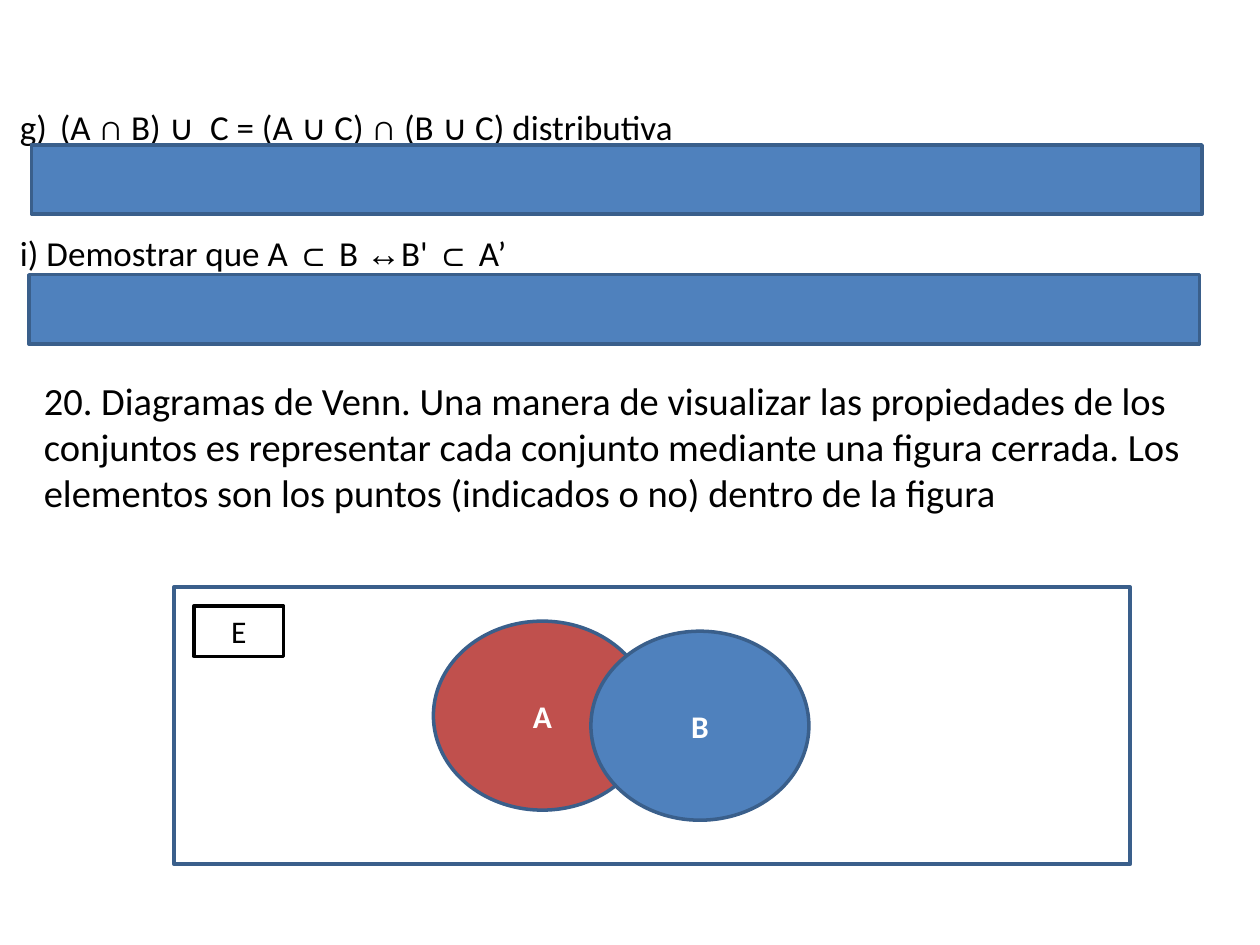
import pptx
import pptx.dml.color
import pptx.enum.shapes
import pptx.enum.text
import pptx.util

RGBColor = pptx.dml.color.RGBColor
SHAPE = pptx.enum.shapes.MSO_SHAPE
ALIGN = pptx.enum.text.PP_ALIGN
ANCHOR = pptx.enum.text.MSO_ANCHOR

BLACK = RGBColor(0x00, 0x00, 0x00)
WHITE = RGBColor(0xFF, 0xFF, 0xFF)
BLUE = RGBColor(0x4F, 0x81, 0xBD)
DARK_BLUE = RGBColor(0x3A, 0x5F, 0x8B)
RED = RGBColor(0xC0, 0x50, 0x4D)

# The slide is a grid of 100 columns by 75 rows
CELL = pptx.util.Inches(0.1)
COLUMNS, ROWS = 100, 75

VENN_TEXT = (
    "20. Diagramas de Venn. Una manera de visualizar las propiedades de los "
    "conjuntos es representar cada conjunto mediante una figura cerrada. Los "
    "elementos son los puntos (indicados o no) dentro de la figura"
)

# Each run: text, size, font
DISTRIBUTIVE = [
    ("g)", 20, "Calibri"),
    (" ", 32, "Calibri"),
    ("(A ∩ B) ∪  C = (A ∪ C) ∩ (B ∪ C) distributiva", 20, "Calibri"),
]
INCLUSION = [
    ("i) Demostrar que A ", 20, "Calibri"),
    ("⊂", 20, "Arial"),
    (" B ", 20, "Calibri"),
    ("↔", 20, "Arial"),
    ("B' ", 20, "Calibri"),
    ("⊂", 20, "Arial"),
    (" A’", 20, "Calibri"),
]


def place(column, row, width, height):
    return [round(length * CELL) for length in (column, row, width, height)]


def add_run(paragraph, text, size, font="Calibri", color=BLACK, bold=False):
    run = paragraph.add_run()
    run.text = text
    style = {"size": pptx.util.Pt(size), "name": font, "bold": bold}
    for attribute, value in style.items():
        setattr(run.font, attribute, value)
    run.font.color.rgb = color


def add_statements(slide, area, statements, anchor=ANCHOR.TOP, gap=0):
    """Text box with one paragraph for each list of runs."""
    frame = slide.shapes.add_textbox(*place(*area)).text_frame
    for attribute, value in {"word_wrap": True, "vertical_anchor": anchor}.items():
        setattr(frame, attribute, value)
    for index, runs in enumerate(statements):
        paragraph = frame.add_paragraph() if index else frame.paragraphs[0]
        paragraph.space_before = pptx.util.Pt(gap if index else 0)
        for run in runs:
            add_run(paragraph, *run)


def add_figure(slide, kind, area, fill, outline=DARK_BLUE):
    figure = slide.shapes.add_shape(kind, *place(*area))
    figure.shadow.inherit = False
    figure.fill.solid()
    figure.fill.fore_color.rgb = fill
    figure.line.color.rgb = outline
    figure.line.width = pptx.util.Pt(2)
    return figure


def add_label(figure, text, color, bold=False):
    figure.text_frame.vertical_anchor = ANCHOR.MIDDLE
    paragraph = figure.text_frame.paragraphs[0]
    paragraph.alignment = ALIGN.CENTER
    add_run(paragraph, text, 18, color=color, bold=bold)


def main():
    deck = pptx.Presentation()
    deck.slide_width, deck.slide_height = COLUMNS * CELL, ROWS * CELL
    slide = deck.slides.add_slide(deck.slide_layouts[6])

    # Statements to prove, each with a bar over its answer
    add_statements(slide, (0.6, 3.2, 96.9, 22), [DISTRIBUTIVE, INCLUSION],
                   anchor=ANCHOR.MIDDLE, gap=46)
    for column, row in ((2.5, 11.5), (2.3, 21.8)):
        add_figure(slide, SHAPE.RECTANGLE, (column, row, 92.9, 5.5), BLUE)

    # Explanation of Venn diagrams
    add_statements(slide, (2.5, 29.4, 92.9, 12), [[(VENN_TEXT, 22)]])

    # Universe E with the overlapping sets A and B
    add_figure(slide, SHAPE.RECTANGLE, (13.8, 46.6, 75.9, 22), WHITE)
    for name, column, row, fill in (("A", 34.4, 49.3, RED), ("B", 46.9, 50.1, BLUE)):
        venn_set = add_figure(slide, SHAPE.OVAL, (column, row, 17.3, 15), fill)
        add_label(venn_set, name, WHITE, bold=True)
    universe_tag = add_figure(slide, SHAPE.RECTANGLE, (15.4, 48.1, 7.1, 4), WHITE, BLACK)
    add_label(universe_tag, "E", BLACK)

    deck.save("out.pptx")


if __name__ == "__main__":
    main()
